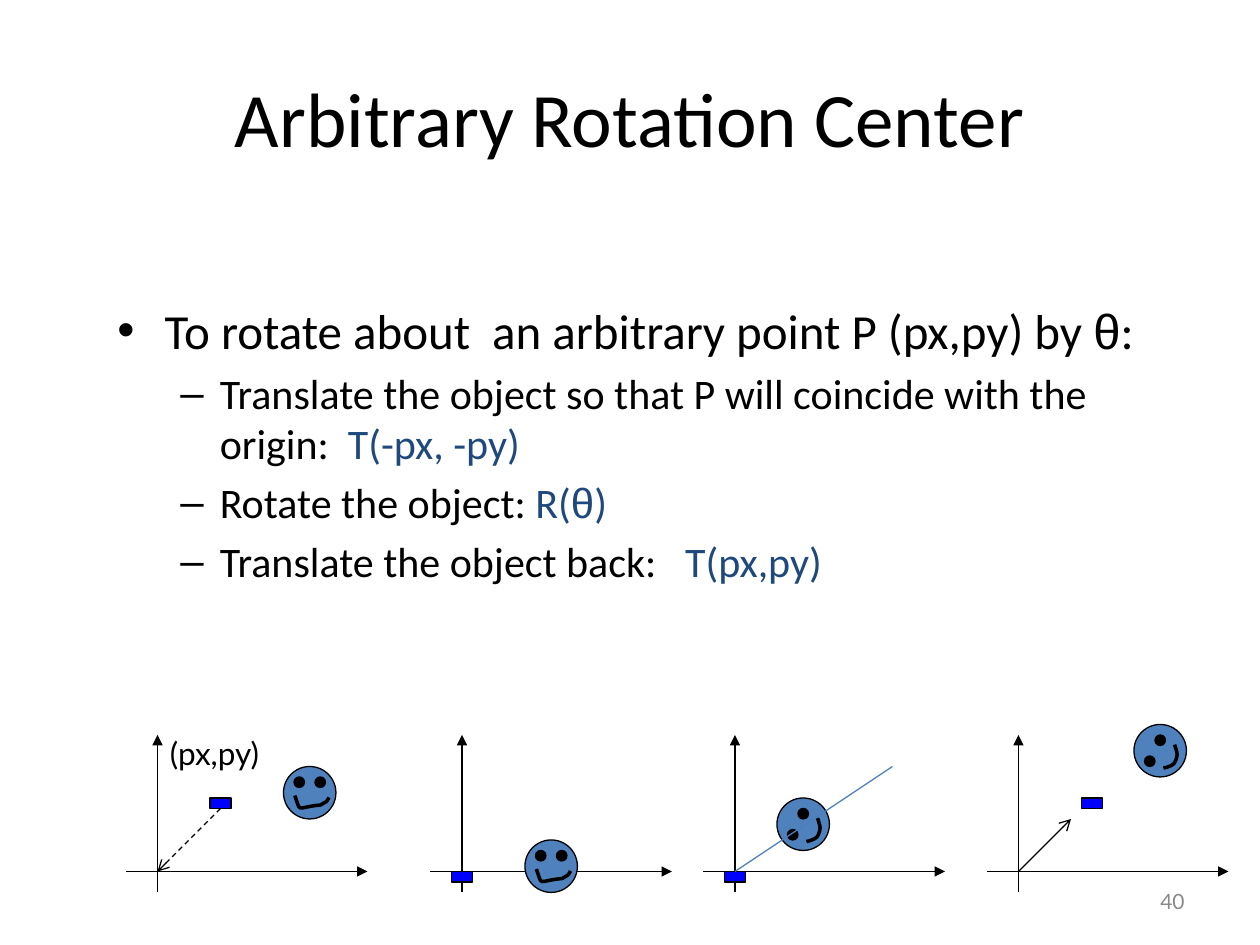
from dataclasses import dataclass

import pptx
import pptx.dml.color
import pptx.enum.dml
import pptx.enum.shapes
import pptx.enum.text
import pptx.oxml.ns
import pptx.util
from lxml import etree

Pt = pptx.util.Pt
ALIGN = pptx.enum.text.PP_ALIGN
ANCHOR = pptx.enum.text.MSO_ANCHOR
SHAPE = pptx.enum.shapes.MSO_SHAPE


@dataclass(frozen=True)
class Theme:
    black: str = "000000"
    accent: str = "1F497D"
    face: str = "4F81BD"
    marker: str = "0000FF"
    ray: str = "4B7EBC"
    muted: str = "898989"
    font: str = "Calibri"
    greek: str = "Arial"
    label_font: str = "Lato"
    title: int = 44
    body: int = 28
    sub: int = 24
    label: int = 18
    number: int = 12
    thin: float = 0.75
    thick: float = 2


T = Theme()
AXIS_Y = 498
UPRIGHT = (
    ((6, 6), (18, 6)),
    ((6.5, 16.6), (10.3, 27), (6.7, 23.4), (21.3, 22), (25.3, 19.4), (24.2, 21), (26, 17.7)),
)
TURNED = (
    ((12, 6), (6, 18)),
    ((23.2, 11.5), (24.6, 16), (25.5, 17.3), (23.2, 21.8), (21.8, 24), (16.8, 24.9), (16.8, 24.9)),
)
BODY = (
    (0, (("To rotate about  an arbitrary point P (px,py) by θ:", T.black),)),
    (1, (("Translate the object so that P will coincide with the origin:  ", T.black),
         ("T(-px, -py)", T.accent))),
    (1, (("Rotate the object: ", T.black), ("R(θ)", T.accent))),
    (1, (("Translate the object back:   ", T.black), ("T(px,py)", T.accent))),
)


def rgb(color):
    return pptx.dml.color.RGBColor.from_string(color)


def sub(parent, tag, **attrs):
    return etree.SubElement(parent, pptx.oxml.ns.qn(tag), attrs)


def style_font(font, name, size, color):
    font.name, font.size = name, Pt(size)
    font.color.rgb = rgb(color)


def add_box(s, x, y, w, h, anchor=ANCHOR.TOP, wrap=True):
    tf = s.shapes.add_textbox(Pt(x), Pt(y), Pt(w), Pt(h)).text_frame
    tf.word_wrap = wrap
    tf.vertical_anchor = anchor
    return tf


def add_label(s, text, x, y, w, h, name, size, color, align, anchor=ANCHOR.MIDDLE, wrap=True):
    p = add_box(s, x, y, w, h, anchor, wrap).paragraphs[0]
    p.text = text
    p.alignment = align
    style_font(p.runs[0].font, name, size, color)


def add_runs(p, text, size, color):
    for i, part in enumerate(text.replace("θ", "|θ|").split("|")):
        if part:
            r = p.add_run()
            r.text = part
            style_font(r.font, T.greek if i % 2 else T.font, size, color)


def add_body(s):
    tf = add_box(s, 60, 168, 612, 324)
    for i, (level, parts) in enumerate(BODY):
        p = tf.paragraphs[0] if i == 0 else tf.add_paragraph()
        size, left, hang, bullet = ((T.body, 27, 27, "•"), (T.sub, 58.5, 22.5, "–"))[level]
        p.level = level
        if i:
            p.space_before = Pt(size * 0.2)
        pPr = p._p.get_or_add_pPr()
        pPr.set("marL", str(Pt(left)))
        pPr.set("indent", str(-Pt(hang)))
        sub(pPr, "a:buFont", typeface="Arial")
        sub(pPr, "a:buChar", char=bullet)
        for text, color in parts:
            add_runs(p, text, size, color)


def add_line(s, x1, y1, x2, y2, color=T.black, head=None, dashed=False):
    sp = s.shapes.add_connector(
        pptx.enum.shapes.MSO_CONNECTOR.STRAIGHT, Pt(x1), Pt(y1), Pt(x2), Pt(y2))
    sp.line.color.rgb = rgb(color)
    sp.line.width = Pt(T.thin)
    if dashed:
        sp.line.dash_style = pptx.enum.dml.MSO_LINE.DASH
    if head:
        sub(sp.line._get_or_add_ln(), "a:tailEnd", type=head)
    sub(sp._element.spPr, "a:effectLst")


def add_solid(s, kind, x, y, w, h, fill):
    sp = s.shapes.add_shape(kind, Pt(x), Pt(y), Pt(w), Pt(h))
    sp.shadow.inherit = False
    sp.fill.solid()
    sp.fill.fore_color.rgb = rgb(fill)
    sp.line.color.rgb = rgb(T.black)
    sp.line.width = Pt(T.thin)


def bezier(a, b, c, d, t):
    u = 1 - t
    return tuple(u**3 * i + 3 * u * u * t * j + 3 * u * t * t * k + t**3 * m
                 for i, j, k, m in zip(a, b, c, d))


def add_mouth(s, x, y, curve):
    points = [curve[0]]
    for i in (0, 3):
        points += [bezier(*curve[i:i + 4], n / 12) for n in range(1, 13)]
    points = [(Pt(x + dx), Pt(y + dy)) for dx, dy in points]
    fb = s.shapes.build_freeform(*points[0])
    fb.add_line_segments(points[1:], close=False)
    sp = fb.convert_to_shape()
    sp.shadow.inherit = False
    sp.fill.background()
    sp.line.color.rgb = rgb(T.black)
    sp.line.width = Pt(T.thick)


def add_face(s, x, y, pose):
    eyes, mouth = pose
    add_solid(s, SHAPE.OVAL, x, y, 30, 30, T.face)
    for dx, dy in eyes:
        add_solid(s, SHAPE.OVAL, x + dx, y + dy, 6, 6, T.black)
    add_mouth(s, x, y, mouth)


def add_plot(s, x, face, pose, marker):
    add_line(s, x - 18, AXIS_Y, x + 120, AXIS_Y, head="triangle")
    add_line(s, x, AXIS_Y + 12, x, AXIS_Y - 78, head="triangle")
    add_face(s, x + face[0], AXIS_Y + face[1], pose)
    add_solid(s, SHAPE.RECTANGLE, x + marker[0], AXIS_Y + marker[1], 12, 6, T.marker)


def main():
    prs = pptx.Presentation()
    prs.slide_width, prs.slide_height = Pt(720), Pt(540)
    s = prs.slides.add_slide(prs.slide_layouts[6])
    add_label(s, "40", 516, 500.5, 168, 28.75, T.label_font, T.number, T.muted, ALIGN.RIGHT)
    add_label(s, "Arbitrary Rotation Center", 36, 21.6, 648, 90, T.font, T.title, T.black,
              ALIGN.CENTER)
    add_body(s)
    add_plot(s, 90, (72, -60), UPRIGHT, (30, -42))
    add_plot(s, 264, (36, -18), UPRIGHT, (-6, 0))
    add_plot(s, 420, (24, -42), TURNED, (-6, 0))
    add_plot(s, 582, (66, -84), TURNED, (36, -42))
    add_label(s, "(px,py)", 90, 416, 71, 29, T.label_font, T.label, T.black, ALIGN.LEFT,
              ANCHOR.TOP, False)
    add_line(s, 126, 462, 90, AXIS_Y, head="arrow", dashed=True)
    add_line(s, 582, AXIS_Y, 612, 468, head="arrow")
    add_line(s, 420, AXIS_Y, 510, 438, T.ray)
    prs.save("out.pptx")


if __name__ == "__main__":
    main()
